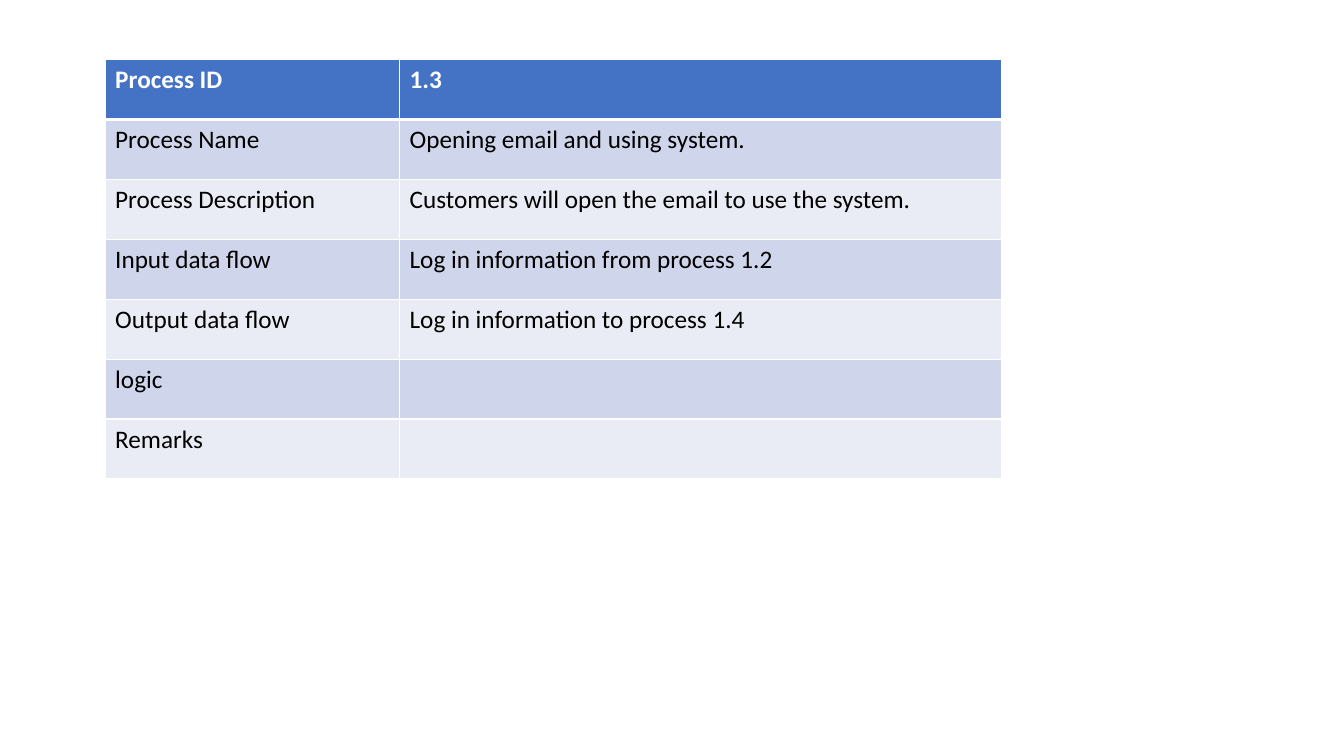
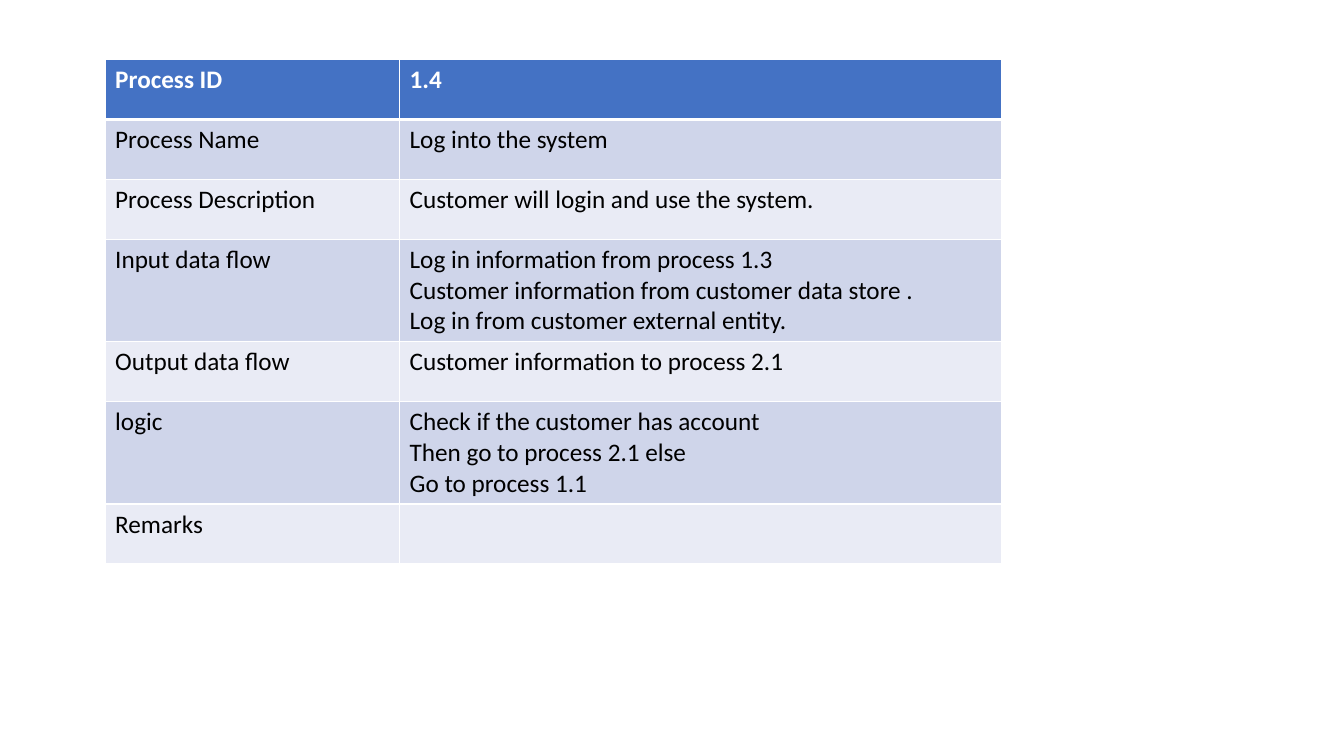
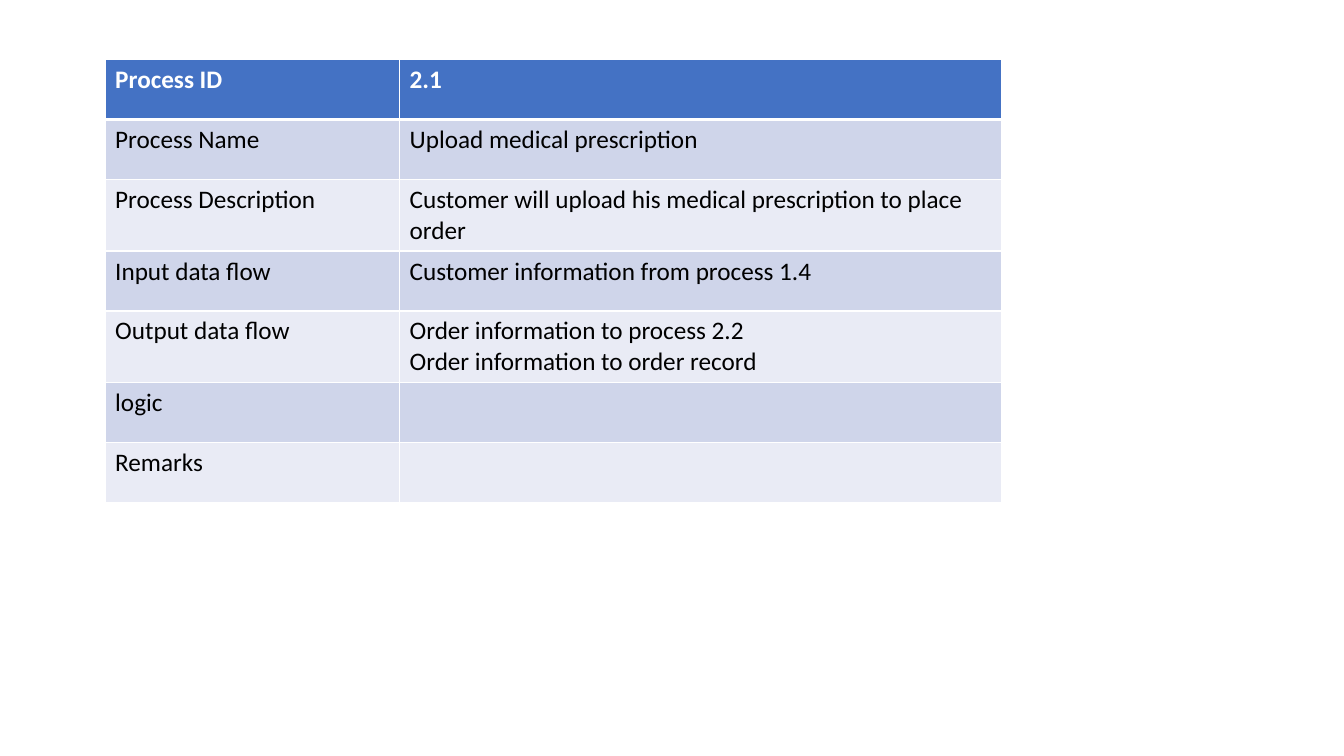
from lxml import etree
from pptx import Presentation
from pptx.dml.color import RGBColor
from pptx.oxml.ns import qn
from pptx.util import Cm, Pt

COLORS = {
    "header": "4472C4",
    "odd": "CFD5EA",
    "even": "E9EBF5",
    "border": "FFFFFF",
    "header_text": "FFFFFF",
    "text": "000000",
}
FONT = "Calibri"
COLUMN_WIDTHS = [Cm(7.42), Cm(15.16)]
ROW_HEIGHT = Cm(1.51)
LABELS = [
    "Process ID",
    "Process Name",
    "Process Description",
    "Input data flow",
    "Output data flow",
    "logic",
    "Remarks",
]
PROCESSES = [
    [
        "1.3",
        "Opening email and using system.",
        "Customers will open the email to use the system.",
        "Log in information from process 1.2",
        "Log in information to process 1.4",
        "",
        "",
    ],
    [
        "1.4",
        "Log into the system",
        "Customer will login and use the system.",
        "Log in information from process 1.3\n"
        "Customer information from customer data store .\n"
        "Log in from customer external entity.",
        "Customer information to process 2.1",
        "Check if the customer has account\n"
        "Then go to process 2.1 else\n"
        "Go to process 1.1",
        "",
    ],
    [
        "2.1",
        "Upload medical prescription",
        "Customer will upload his medical prescription to place order",
        "Customer information from process 1.4",
        "Order information to process 2.2\nOrder information to order record",
        "",
        "",
    ],
]


def add_border(cell, side, width):
    line = etree.SubElement(cell._tc.get_or_add_tcPr(), qn(f"a:{side}"), w=str(Pt(width)))
    fill = etree.SubElement(line, qn("a:solidFill"))
    etree.SubElement(fill, qn("a:srgbClr"), val=COLORS["border"])


def format_cell(cell, text, row):
    is_header = row == 0
    band = "header" if is_header else "odd" if row % 2 else "even"
    add_border(cell, "lnL", 1)
    add_border(cell, "lnR", 1)
    add_border(cell, "lnT", 3 if row == 1 else 1)
    add_border(cell, "lnB", 3 if is_header else 1)
    cell.fill.solid()
    cell.fill.fore_color.rgb = RGBColor.from_string(COLORS[band])
    cell.text = text
    for paragraph in cell.text_frame.paragraphs:
        font = paragraph.font
        font.name = FONT
        font.size = Pt(18)
        font.bold = is_header
        font.color.rgb = RGBColor.from_string(COLORS["header_text" if is_header else "text"])


prs = Presentation()
prs.slide_width = Cm(33.87)
prs.slide_height = Cm(19.05)
blank_layout = prs.slide_layouts[6]

for details in PROCESSES:
    slide = prs.slides.add_slide(blank_layout)
    process_table = slide.shapes.add_table(
        len(LABELS), len(COLUMN_WIDTHS), Cm(2.65), Cm(1.5),
        sum(COLUMN_WIDTHS), ROW_HEIGHT * len(LABELS),
    ).table
    for column, width in zip(process_table.columns, COLUMN_WIDTHS):
        column.width = width
    for row, entry in enumerate(zip(LABELS, details)):
        process_table.rows[row].height = ROW_HEIGHT
        for column, text in enumerate(entry):
            format_cell(process_table.cell(row, column), text, row)

prs.save("out.pptx")
